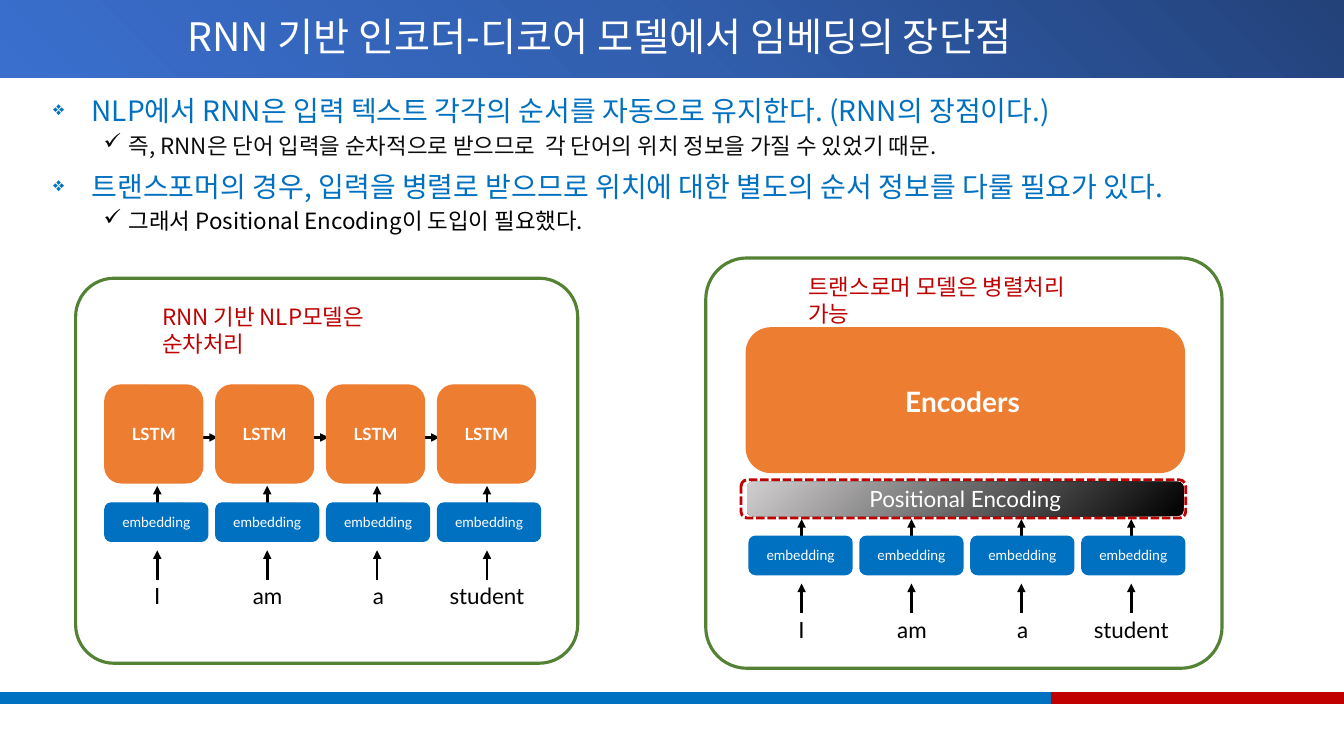
import dataclasses

import lxml.etree
import pptx
import pptx.dml.color
import pptx.enum.dml
import pptx.enum.shapes
import pptx.enum.text
import pptx.oxml.ns
import pptx.util

PX = 9144
qn = pptx.oxml.ns.qn
SHAPES = pptx.enum.shapes.MSO_SHAPE
ALIGN = pptx.enum.text.PP_ALIGN
ANCHOR = pptx.enum.text.MSO_ANCHOR


@dataclasses.dataclass(frozen=True)
class Theme:
    """Colours, fonts and type sizes of the slide."""
    blue: str = "0070C0"
    red: str = "C00000"
    green: str = "548235"
    orange: str = "ED7D31"
    black: str = "000000"
    ink: str = "0D0D0D"
    white: str = "FFFFFF"
    header: tuple = ((0, "23427A"), (50, "315EAD"), (100, "3A6FCE"))
    strip: tuple = ((0, "D0CECE"), (100, "000000"))
    korean: str = "Noto Sans CJK KR"
    latin: str = "Lato"
    title: int = 28
    point: int = 20
    body: int = 16
    cell: int = 12
    small: int = 10


THEME = Theme()
WORDS = (("I", 39, 31), ("am", 137, 61), ("a", 256, 61), ("student", 332, 112))
POINTS = (
    (0, THEME.blue, "NLP에서 RNN은 입력 텍스트 각각의 순서를 자동으로 유지한다. (RNN의 장점이다.)"),
    (1, THEME.ink, "즉, RNN은 단어 입력을 순차적으로 받으므로  각 단어의 위치 정보을 가질 수 있었기 때문."),
    (0, THEME.blue, "트랜스포머의 경우, 입력을 병렬로 받으므로 위치에 대한 별도의 순서 정보를 다룰 필요가 있다."),
    (1, THEME.black, "그래서 Positional Encoding이 도입이 필요했다."),
)
LEVELS = (
    {"size": THEME.point, "before": 10, "margin": 38, "hang": 38, "mark": "❖", "percent": 70},
    {"size": THEME.body, "before": 5, "margin": 75, "hang": 25, "mark": "✓", "percent": 100},
)


def rgb(colour):
    """Turn a hex string into a colour."""
    return pptx.dml.color.RGBColor.from_string(colour)


def add_run(paragraph, text, size, colour, font=THEME.latin, bold=False):
    """Add one styled run to a paragraph."""
    run = paragraph.add_run()
    run.text = text
    run.font.size = pptx.util.Pt(size)
    run.font.bold = bold
    run.font.color.rgb = rgb(colour)
    run.font.name = font
    lxml.etree.SubElement(run.font._element, qn("a:ea"), typeface=font)


def add_text(slide, box, text, size, colour, font=THEME.latin, bold=False):
    """Place a one-paragraph text box and return its frame."""
    frame = slide.shapes.add_textbox(*(n * PX for n in box)).text_frame
    frame.word_wrap = True
    add_run(frame.paragraphs[0], text, size, colour, font, bold)
    return frame


def paint_gradient(shape, stops, focus):
    """Fill a shape with a circular gradient centred on a corner."""
    gradient = lxml.etree.Element(qn("a:gradFill"), rotWithShape="1")
    stop_list = lxml.etree.SubElement(gradient, qn("a:gsLst"))
    for position, colour in stops:
        stop = lxml.etree.SubElement(stop_list, qn("a:gs"), pos=str(position * 1000))
        lxml.etree.SubElement(stop, qn("a:srgbClr"), val=colour)
    circle = lxml.etree.SubElement(gradient, qn("a:path"), path="circle")
    lxml.etree.SubElement(circle, qn("a:fillToRect"),
                          {side: str(n * 1000) for side, n in zip("ltrb", focus)})
    shape.element.spPr.find(qn("a:prstGeom")).addnext(gradient)


def add_block(slide, box, fill=None, line=None, width=1, kind=SHAPES.ROUNDED_RECTANGLE,
              gradient=None):
    """Place a preset shape with the given fill and outline."""
    block = slide.shapes.add_shape(kind, *(n * PX for n in box))
    block.shadow.inherit = False
    if gradient:
        paint_gradient(block, *gradient)
    elif fill:
        block.fill.solid()
        block.fill.fore_color.rgb = rgb(fill)
    else:
        block.fill.background()
    if line:
        block.line.color.rgb = rgb(line)
        block.line.width = pptx.util.Pt(width)
    else:
        block.line.fill.background()
    return block


def add_label(block, text, size, bold=False):
    """Centre a white label in a block."""
    block.text_frame.vertical_anchor = ANCHOR.MIDDLE
    paragraph = block.text_frame.paragraphs[0]
    paragraph.alignment = ALIGN.CENTER
    add_run(paragraph, text, size, THEME.white, bold=bold)


def add_arrow(slide, *ends):
    """Draw a black arrow from the first point to the second."""
    arrow = slide.shapes.add_connector(pptx.enum.shapes.MSO_CONNECTOR.STRAIGHT,
                                       *(n * PX for n in ends))
    arrow.line.color.rgb = rgb(THEME.black)
    arrow.line.width = pptx.util.Pt(2)
    properties = arrow.element.spPr
    lxml.etree.SubElement(properties.find(qn("a:ln")), qn("a:tailEnd"), type="triangle")
    lxml.etree.SubElement(properties, qn("a:effectLst"))


def add_header(slide, left, top, width, height):
    """Draw the title bar and its title."""
    add_block(slide, (left, top, width, height), kind=SHAPES.RECTANGLE,
              gradient=(THEME.header, (100, 0, 0, 100)))
    title = add_text(slide, (left + 43, top, 1103, height),
                     "RNN 기반 인코더-디코어 모델에서 임베딩의 장단점",
                     THEME.title, THEME.white, THEME.korean)
    title.vertical_anchor = ANCHOR.MIDDLE
    title.paragraphs[0].alignment = ALIGN.CENTER
    title.paragraphs[0].line_spacing = 0.9


def add_footer(slide, left, top, width, height):
    """Draw the two-colour band at the foot."""
    blue_width = 1043
    for x, span, colour in ((left, blue_width, THEME.blue),
                            (left + blue_width, width - blue_width, THEME.red)):
        add_block(slide, (x, top, span, height), colour, colour, kind=SHAPES.RECTANGLE)


def add_points(slide, *box):
    """Write the bulleted points."""
    frame = slide.shapes.add_textbox(*(n * PX for n in box)).text_frame
    frame.word_wrap = True
    for index, (depth, colour, text) in enumerate(POINTS):
        level = LEVELS[depth]
        paragraph = frame.add_paragraph() if index else frame.paragraphs[0]
        paragraph.level = depth
        properties = paragraph._p.get_or_add_pPr()
        properties.set("marL", str(level["margin"] * PX))
        properties.set("indent", str(-level["hang"] * PX))
        lxml.etree.SubElement(properties, qn("a:buSzPct"), val=str(level["percent"] * 1000))
        lxml.etree.SubElement(properties, qn("a:buChar"), char=level["mark"])
        paragraph.line_spacing = 0.9
        if index:
            paragraph.space_before = pptx.util.Pt(level["before"])
        add_run(paragraph, text, level["size"], colour, THEME.korean)


def add_inputs(slide, left, top):
    """Draw the input words, their embeddings and the arrows between."""
    for index, (word, offset, width) in enumerate(WORDS):
        add_text(slide, (left + offset, top + 74, width, 37), word, THEME.body, THEME.black)
        x = left + 52 + 109 * index
        for start in (76, 12):
            add_arrow(slide, x, top + start, x, top + start - 29)
        embedding = add_block(slide, (left + 110 * index, top, 102, 38), THEME.blue, THEME.blue)
        add_label(embedding, "embedding", THEME.small)


def add_frame(slide, *box):
    """Draw the green outline of a panel."""
    add_block(slide, box, line=THEME.green, width=2.25).adjustments[0] = 0.1


def add_rnn_panel(slide, left, top, width, height):
    """Draw the sequential model panel."""
    cells_left, cells_top = left + 29, top + 106
    for index in range(len(WORDS) - 1):
        x = cells_left + 65 + 110 * index
        add_arrow(slide, x, cells_top + 52, x + 47, cells_top + 52)
    for index in range(len(WORDS)):
        cell = add_block(slide, (cells_left + 110 * index, cells_top, 97, 97),
                         THEME.orange, THEME.orange)
        add_label(cell, "LSTM", THEME.cell, bold=True)
    add_inputs(slide, cells_left, top + 223)
    add_text(slide, (left + 76, top + 20, 295, 37), "RNN 기반 NLP모델은 순차처리",
             THEME.body, THEME.red, THEME.korean)
    add_frame(slide, left, top, width, height)


def add_transformer_panel(slide, left, top, width, height):
    """Draw the parallel model panel."""
    add_block(slide, (left + 41, top + 70, 433, 142), THEME.orange, THEME.orange, 2)
    add_inputs(slide, left + 43, top + 276)
    strip = add_block(slide, (left + 41, top + 222, 433, 34),
                      gradient=(THEME.strip, (0, 0, 100, 100)))
    add_label(strip, "Positional Encoding", THEME.body)
    add_text(slide, (left + 188, top + 121, 303, 44), "Encoders", THEME.point, THEME.white,
             bold=True)
    highlight = add_block(slide, (left + 35, top + 220, 441, 38), line=THEME.red, width=2)
    highlight.line.dash_style = pptx.enum.dml.MSO_LINE.SQUARE_DOT
    add_text(slide, (left + 92, top + 10, 318, 37), "트랜스로머 모델은 병렬처리 가능",
             THEME.body, THEME.red, THEME.korean)
    add_frame(slide, left, top, width, height)


def main():
    """Build the slide and save it."""
    deck = pptx.Presentation()
    deck.slide_width, deck.slide_height = 1333 * PX, 750 * PX
    slide = deck.slides.add_slide(deck.slide_layouts[6])
    add_header(slide, 0, 0, 1333, 77)
    add_footer(slide, 0, 687, 1333, 11)
    add_points(slide, 43, 92, 1263, 580)
    add_rnn_panel(slide, 75, 276, 498, 382)
    add_transformer_panel(slide, 700, 256, 512, 407)
    deck.save("out.pptx")


if __name__ == "__main__":
    main()
